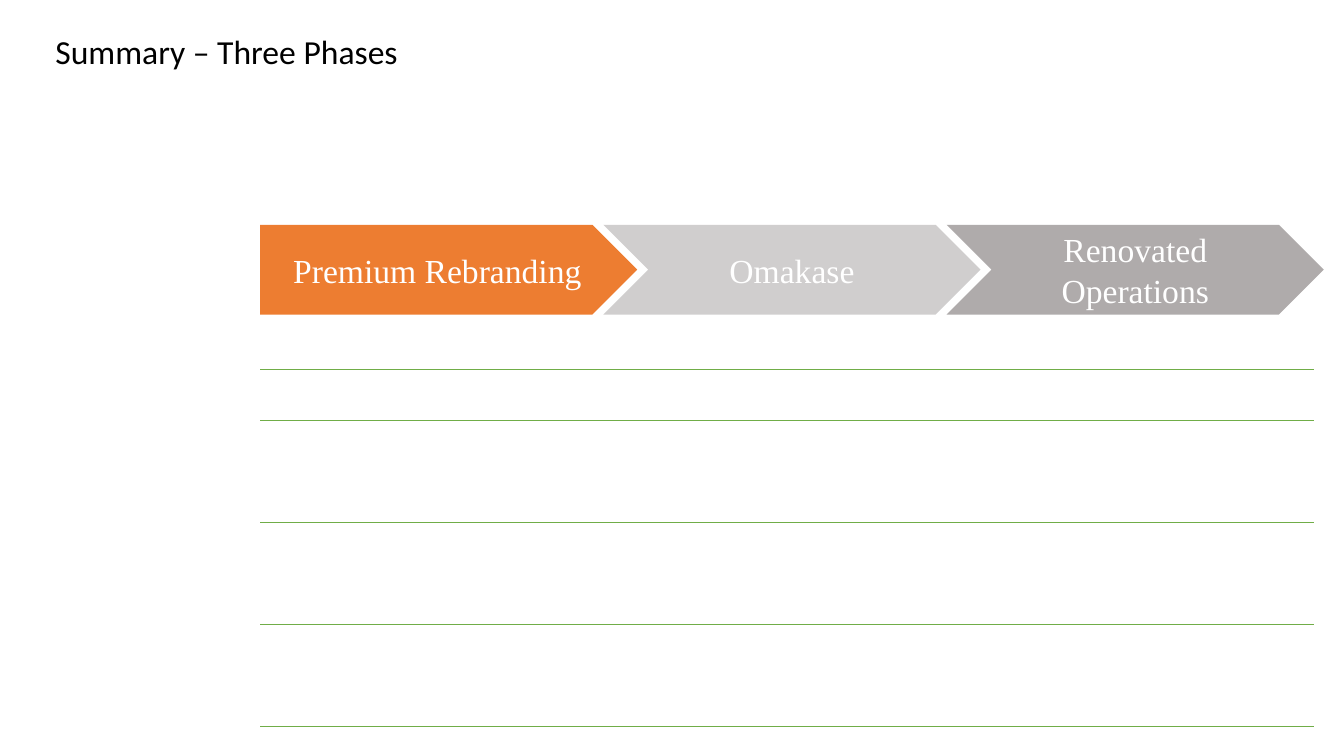
import pptx
import pptx.util
import pptx.dml.color
import pptx.enum.shapes
import pptx.enum.text
import pptx.oxml.ns
from lxml import etree

Inches, Pt = pptx.util.Inches, pptx.util.Pt
RGBColor = pptx.dml.color.RGBColor
SHAPES = pptx.enum.shapes.MSO_SHAPE
ALIGN = pptx.enum.text.PP_ALIGN
ANCHOR = pptx.enum.text.MSO_ANCHOR
qn = pptx.oxml.ns.qn

ORANGE = RGBColor(0xED, 0x7D, 0x31)
LIGHT_GRAY = RGBColor(0xD0, 0xCE, 0xCE)
MID_GRAY = RGBColor(0xAF, 0xAB, 0xAB)
GREEN = RGBColor(0x70, 0xAD, 0x47)
WHITE = RGBColor(0xFF, 0xFF, 0xFF)
BLACK = RGBColor(0, 0, 0)

# Content
TITLE = "Summary – Three Phases"
PHASES = [
    ("Premium Rebranding", SHAPES.PENTAGON, ORANGE),
    ("Omakase", SHAPES.CHEVRON, LIGHT_GRAY),
    ("Renovated Operations", SHAPES.CHEVRON, MID_GRAY),
]
COLUMN_WIDTHS = [4.12, 3.51, 2.82]
ROW_HEIGHTS = [0.54, 0.51, 1.01, 1.01, 1.01]

# Layout
LEFT, PHASE_TOP, TABLE_TOP = 2.58, 2.23, 3.12
PHASE_WIDTH, PHASE_HEIGHT, PHASE_STEP = 3.74, 0.89, 3.405


def write(frame, text, font_name, color):
    frame.word_wrap = True
    frame.text = text
    para = frame.paragraphs[0]
    font = para.runs[0].font
    font.name, font.size, font.color.rgb = font_name, Pt(24), color
    return para


def set_margins(frame, margin):
    frame.margin_left = frame.margin_right = Inches(margin)
    frame.margin_top = frame.margin_bottom = Inches(margin)


def add_border(cell, side, color=None):
    line = etree.SubElement(cell._tc.get_or_add_tcPr(), qn("a:" + side))
    if color is None:
        etree.SubElement(line, qn("a:noFill"))
        return
    line.set("w", str(int(Pt(0.25))))
    fill = etree.SubElement(line, qn("a:solidFill"))
    etree.SubElement(fill, qn("a:srgbClr")).set("val", str(color))


deck = pptx.Presentation()
deck.slide_width, deck.slide_height = Inches(13.33), Inches(7.5)
page = deck.slides.add_slide(deck.slide_layouts[6])

# Empty table ruled by thin lines under each row
table = page.shapes.add_table(
    len(ROW_HEIGHTS), len(COLUMN_WIDTHS), Inches(LEFT), Inches(TABLE_TOP),
    Inches(sum(COLUMN_WIDTHS)), Inches(sum(ROW_HEIGHTS))).table
table.first_row = table.horz_banding = False
for column, width in zip(table.columns, COLUMN_WIDTHS):
    column.width = Inches(width)
for index, (row, height) in enumerate(zip(table.rows, ROW_HEIGHTS)):
    row.height = Inches(height)
    for cell in row.cells:
        add_border(cell, "lnL")
        add_border(cell, "lnR")
        add_border(cell, "lnT", GREEN if index else None)
        add_border(cell, "lnB", GREEN)
        cell.fill.background()

# Phase arrows
arrows = page.shapes.add_group_shape()
for index, (name, kind, color) in enumerate(PHASES):
    arrow = arrows.shapes.add_shape(
        kind, Inches(LEFT + index * PHASE_STEP), Inches(PHASE_TOP),
        Inches(PHASE_WIDTH), Inches(PHASE_HEIGHT))
    arrow.shadow.inherit = False
    arrow.fill.solid()
    arrow.fill.fore_color.rgb = color
    arrow.line.fill.background()
    set_margins(arrow.text_frame, 0.1)
    arrow.text_frame.vertical_anchor = ANCHOR.MIDDLE
    write(arrow.text_frame, name, "Times New Roman", WHITE).alignment = ALIGN.CENTER

# Title
title = page.shapes.add_textbox(Inches(0.55), Inches(0.35), Inches(12.24), Inches(0.37))
set_margins(title.text_frame, 0)
write(title.text_frame, TITLE, "Calibri", BLACK).line_spacing = 0.9

deck.save("out.pptx")
